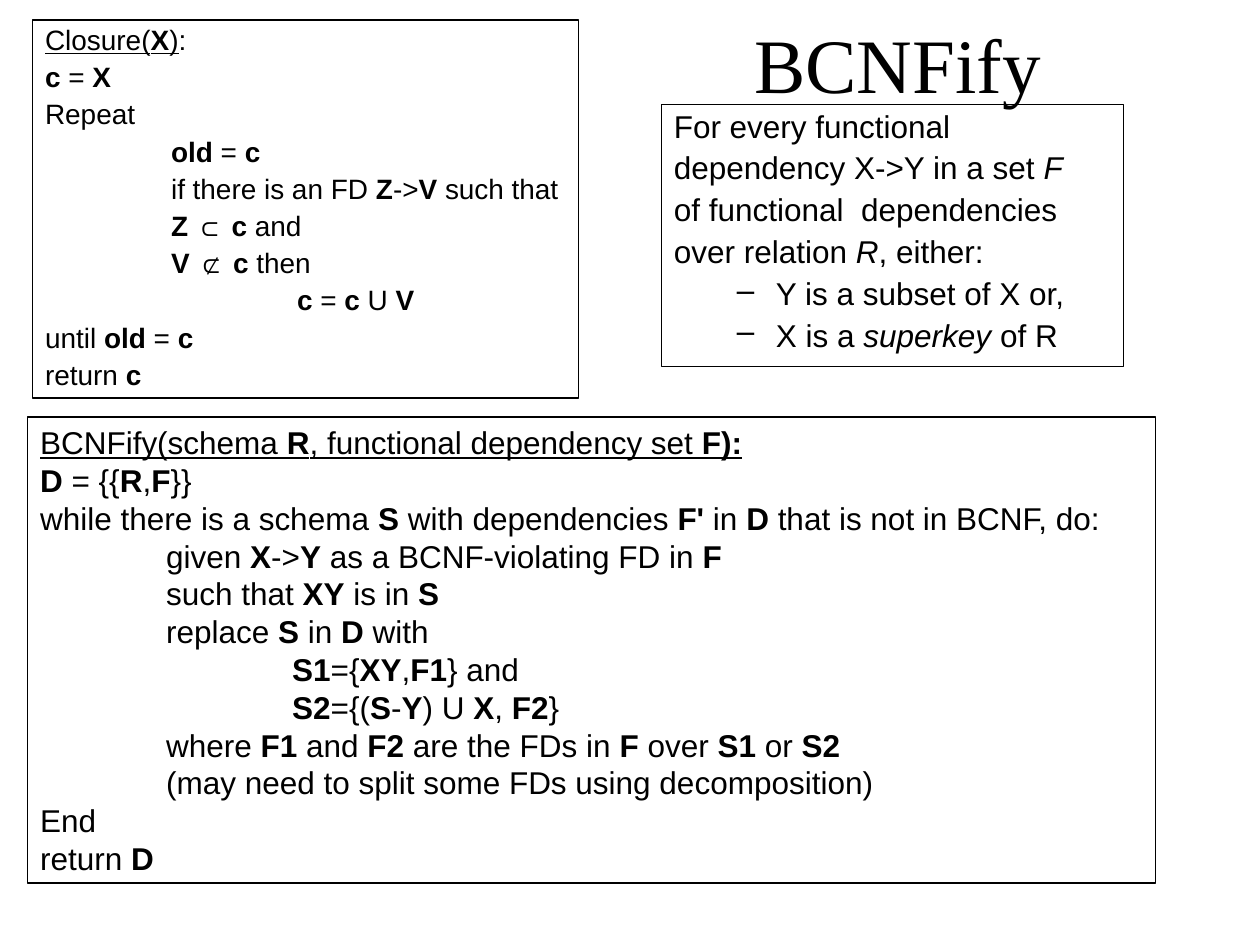
from dataclasses import dataclass

from lxml import etree
from pptx import Presentation
from pptx import util as u
from pptx.dml import color
from pptx.enum import shapes, text
from pptx.oxml import ns


@dataclass(frozen=True)
class Theme:
    ink: color.RGBColor = color.RGBColor(0, 0, 0)
    title_font: str = "Times New Roman"
    body_font: str = "Arial"
    title_size: int = 44
    body_size: int = 18
    small_size: int = 16
    border: float = 0.75


THEME = Theme()

# In the lines below, *...* is bold, ~...~ italic and _..._ underlined.
CLOSURE = [
    "_Closure(*X*)_:",
    "*c* = *X*",
    "Repeat",
    "\t*old* = *c*",
    "\tif there is an FD *Z*->*V* such that",
    "\t*Z *⊂ *c* and",
    "\t*V *⊄ *c* then",
    "\t\t*c* = *c* U *V*",
    "until *old* = *c*",
    "return *c*",
]
ALGORITHM = [
    "_BCNFify(schema *R*, functional dependency set *F):*_",
    "*D* = {{*R*,*F*}}",
    "while there is a schema *S* with dependencies *F'* in *D* that is not in BCNF, do:",
    "\tgiven *X*->*Y* as a BCNF-violating FD in *F*",
    "\tsuch that *XY* is in *S*",
    "\treplace *S* in *D* with",
    "\t\t*S1*={*XY*,*F1*} and",
    "\t\t*S2*={(*S*-*Y*) U *X*, *F2*}",
    "\twhere *F1* and *F2* are the FDs in *F* over *S1* or *S2*",
    "\t(may need to split some FDs using decomposition)",
    "End",
    "return *D*",
]
CONDITION = [
    "For every functional",
    "dependency X->Y in a set ~F~",
    "of functional  dependencies",
    "over relation ~R~, either:",
]
CASES = ["Y is a subset of X or,", "X is a ~superkey~ of R"]


def set_font(paragraph, name, size):
    paragraph.font.name = name
    paragraph.font.size = u.Pt(size)
    paragraph.font.color.rgb = THEME.ink


def add_runs(paragraph, line):
    """Split a marked-up line into runs."""
    styles = {"*": "bold", "~": "italic", "_": "underline"}
    active = set()
    pending = ""

    def flush():
        if pending:
            run = paragraph.add_run()
            run.text = pending
            for style in active:
                setattr(run.font, style, True)

    for character in line:
        if character in styles:
            flush()
            pending = ""
            active ^= {styles[character]}
        else:
            pending += character
    flush()


def set_indent(paragraph, left, first):
    properties = paragraph._p.get_or_add_pPr()
    properties.set("marL", str(u.Inches(left)))
    properties.set("indent", str(u.Inches(first)))


def add_dash(paragraph):
    properties = paragraph._p.get_or_add_pPr()
    etree.SubElement(properties, ns.qn("a:buChar")).set("char", "–")


def add_tabs(paragraph):
    """Put a tab stop at every inch."""
    stops = etree.SubElement(paragraph._p.get_or_add_pPr(), ns.qn("a:tabLst"))
    for inch in range(1, 8):
        stop = etree.SubElement(stops, ns.qn("a:tab"))
        stop.set("pos", str(u.Inches(inch)))
        stop.set("algn", "l")


def add_title(slide, title, left, top, width, height):
    box = slide.shapes.add_textbox(*map(u.Inches, (left, top, width, height)))
    frame = box.text_frame
    frame.word_wrap = True
    frame.vertical_anchor = text.MSO_ANCHOR.MIDDLE
    paragraph = frame.paragraphs[0]
    paragraph.text = title
    paragraph.alignment = text.PP_ALIGN.CENTER
    set_font(paragraph, THEME.title_font, THEME.title_size)


def add_box(slide, left, top, width, height, wrap=True, grow=True):
    """Add an outlined rectangle and return its text frame."""
    shape = slide.shapes.add_shape(
        shapes.MSO_SHAPE.RECTANGLE, *map(u.Inches, (left, top, width, height)))
    shape.shadow.inherit = False
    shape.fill.background()
    shape.line.color.rgb = THEME.ink
    shape.line.width = u.Pt(THEME.border)
    frame = shape.text_frame
    frame.word_wrap = wrap
    frame.vertical_anchor = text.MSO_ANCHOR.TOP
    if grow:
        frame.auto_size = text.MSO_AUTO_SIZE.SHAPE_TO_FIT_TEXT
    return frame


def add_lines(frame, lines, size, spacing=None, before=None, indent=None, dash=False):
    for line in lines:
        paragraph = frame.paragraphs[-1]
        if paragraph.runs:
            paragraph = frame.add_paragraph()
        paragraph.alignment = text.PP_ALIGN.LEFT
        if spacing:
            paragraph.line_spacing = spacing
            paragraph.space_before = u.Pt(before)
        if indent:
            set_indent(paragraph, *indent)
        if dash:
            paragraph.level = 1
            add_dash(paragraph)
        if "\t" in line:
            add_tabs(paragraph)
        set_font(paragraph, THEME.body_font, size)
        add_runs(paragraph, line)


def main():
    presentation = Presentation()
    presentation.slide_width = u.Inches(10)
    presentation.slide_height = u.Inches(7.5)
    slide = presentation.slides.add_slide(presentation.slide_layouts[6])

    add_title(slide, "BCNFify", 5.25, 0, 3.75, 1)

    # Attribute closure
    closure = add_box(slide, 0.26, 0.16, 4.33, 3, wrap=False)
    add_lines(closure, CLOSURE, THEME.small_size, 0.9, 4)

    # Decomposition algorithm
    algorithm = add_box(slide, 0.22, 3.31, 8.95, 3.7)
    add_lines(algorithm, ALGORITHM, THEME.body_size)

    # Normal form definition
    definition = add_box(slide, 5.25, 0.83, 3.67, 2.08, grow=False)
    add_lines(definition, CONDITION, THEME.body_size, 0.9, 4.5, (0.38, -0.38))
    add_lines(definition, CASES, THEME.body_size, 0.9, 4.5, (0.81, -0.31), dash=True)

    presentation.save("out.pptx")


if __name__ == "__main__":
    main()
